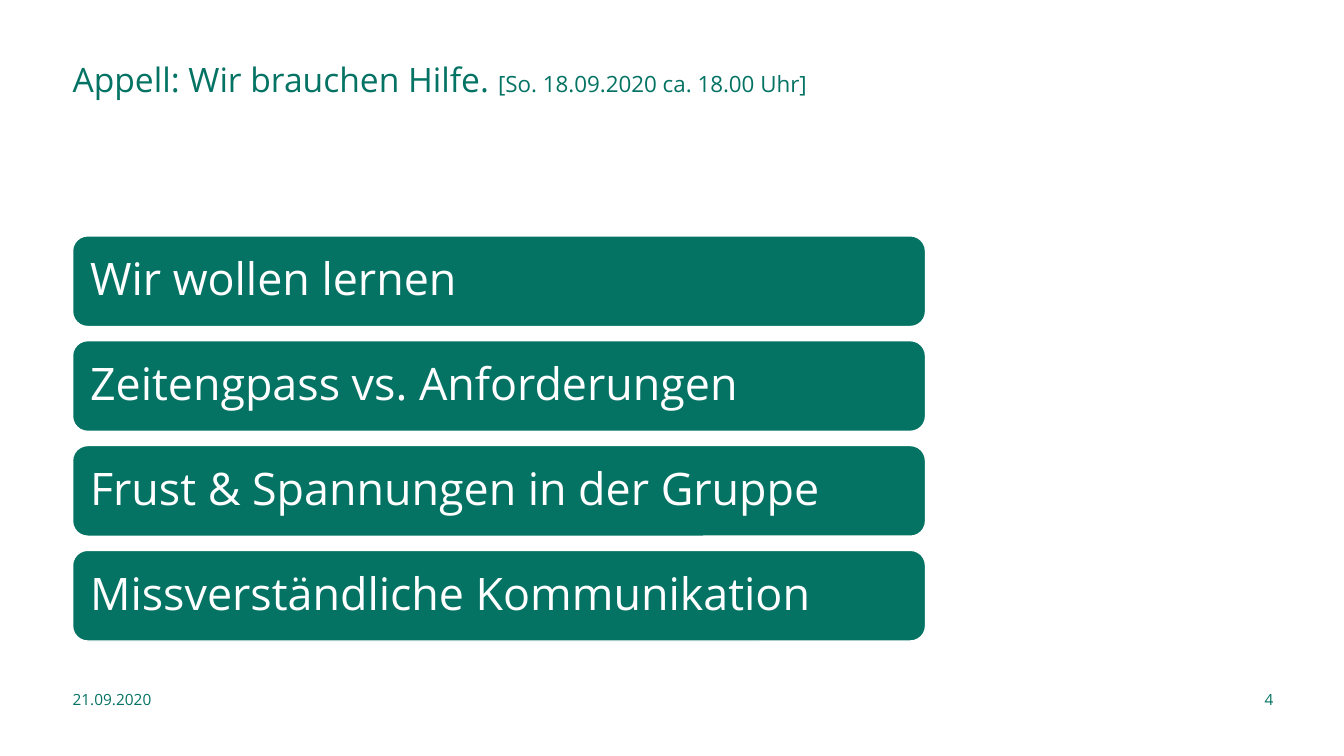
from pptx import Presentation
from pptx.dml.color import RGBColor
from pptx.enum.shapes import MSO_SHAPE as Shape
from pptx.enum.text import MSO_ANCHOR as Anchor, PP_ALIGN as Align
from pptx.util import Inches, Pt

GREEN, WHITE, FONT = "047364", "FFFFFF", "Open Sans"
LEFT, WIDTH = 0.72, 8.46
TOPICS = [
    "Wir wollen lernen",
    "Zeitengpass vs. Anforderungen",
    "Frust & Spannungen in der Gruppe",
    "Missverständliche Kommunikation",
]


def color(value):
    """Turn a hex string into a colour."""
    return RGBColor.from_string(value)


def write(shape, spans, ink=GREEN, insets=(0, 0, 0, 0), anchor=Anchor.MIDDLE, **para_format):
    """Fill a shape with one paragraph of (text, size) spans."""
    frame = shape.text_frame
    sides = ("left", "top", "right", "bottom")
    frame_format = {f"margin_{side}": Inches(inset) for side, inset in zip(sides, insets)}
    frame_format.update(word_wrap=True, vertical_anchor=anchor)
    para = frame.paragraphs[0]
    for target, values in ((frame, frame_format), (para, para_format)):
        for name, value in values.items():
            setattr(target, name, value)
    for text, size in spans:
        span = para.add_run()
        span.text = text
        for name, value in {"name": FONT, "size": Pt(size)}.items():
            setattr(span.font, name, value)
        span.font.color.rgb = color(ink)


def add_text(page, box, spans, **options):
    """Place a text box on the page."""
    write(page.shapes.add_textbox(*map(Inches, box)), spans, **options)


def add_topics(page, box, topics, pitch=1.04, height=0.9):
    """Stack one rounded bar per topic from the top of the box."""
    left, top, width = box
    for row, topic in enumerate(topics):
        place = (left, top + row * pitch, width, height)
        bar = page.shapes.add_shape(Shape.ROUNDED_RECTANGLE, *map(Inches, place))
        bar.shadow.inherit = False
        bar.fill.solid()
        bar.fill.fore_color.rgb = color(GREEN)
        bar.line.color.rgb = color(WHITE)
        bar.line.width = Pt(1)
        write(bar, [(topic, 32)], WHITE, (0.13,) * 4, alignment=Align.LEFT, line_spacing=0.9)


def add_footer(page, box, date, number):
    """Set the date at the left and the page number at the right of the box."""
    left, top, width, height = box
    add_text(page, (left, top, 1.97, height), [(date, 11)])
    add_text(page, (left + width - 0.59, top, 0.59, height), [(number, 11)], alignment=Align.RIGHT)


def build_appeal(deck):
    """Add the slide with the appeal for help."""
    page = deck.slides.add_slide(deck.slide_layouts[6])
    title = [("Appell: Wir brauchen Hilfe. ", 24), ("[So. 18.09.2020 ca. 18.00 Uhr]", 16)]
    add_text(page, (LEFT, 0.63, WIDTH, 0.98), title,
             insets=(0, 0, 0, 0.04), anchor=Anchor.TOP, line_spacing=0.9)
    add_topics(page, (LEFT, 2.34, WIDTH), TOPICS)
    add_footer(page, (LEFT, 6.77, 11.91, 0.33), "21.09.2020", "4")


deck = Presentation()
deck.slide_width, deck.slide_height = Inches(13.33), Inches(7.5)
build_appeal(deck)
deck.save("out.pptx")
